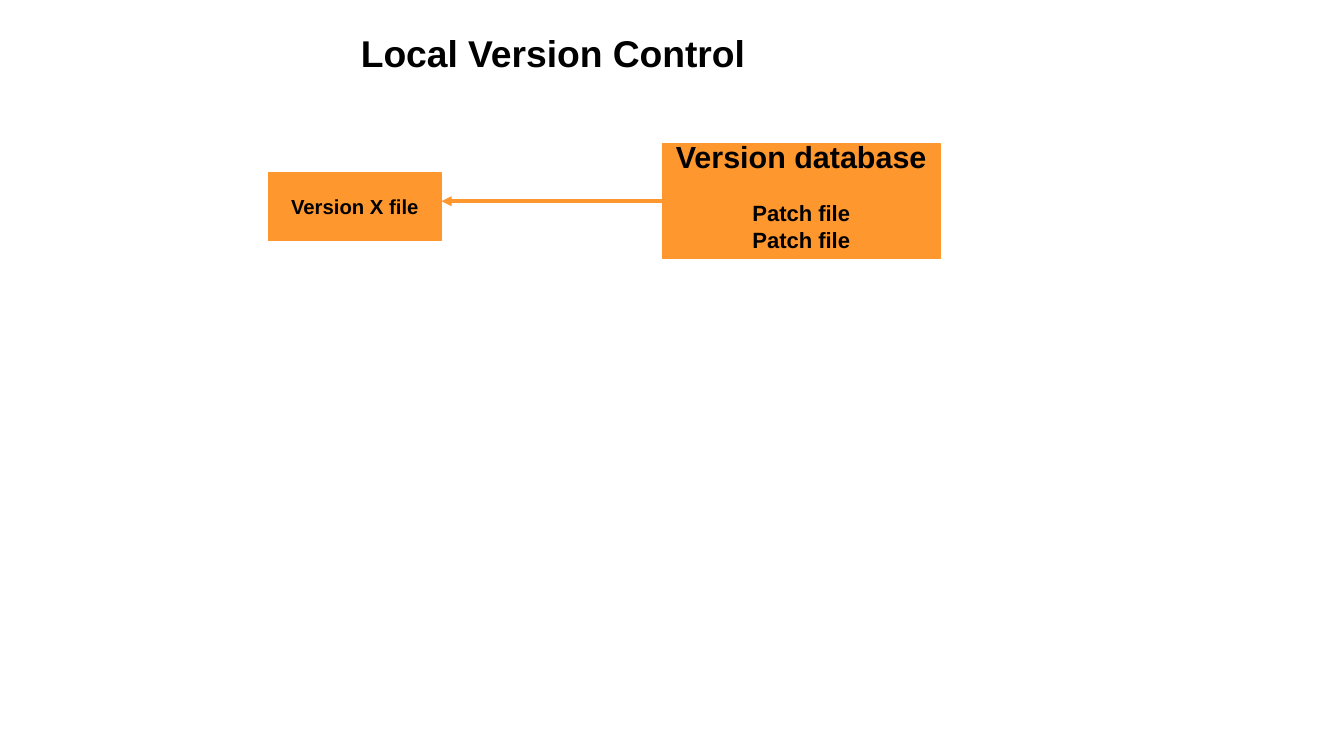
"""Builds the Local Version Control slide: a version database feeding a checked-out file."""
from dataclasses import dataclass
from typing import Optional

from lxml.etree import SubElement
from pptx import Presentation
from pptx.dml.color import RGBColor
from pptx.enum.shapes import MSO_CONNECTOR as Connector, MSO_SHAPE as Preset
from pptx.enum.text import MSO_ANCHOR as Anchor, PP_ALIGN as Align
from pptx.oxml.ns import qn
from pptx.shapes.autoshape import Shape
from pptx.slide import Slide
from pptx.util import Inches, Pt

ORANGE = RGBColor(0xFF, 0x97, 0x2F)
WHITE = RGBColor(0xFF, 0xFF, 0xFF)
BLACK = RGBColor(0, 0, 0)
WIDTH, HEIGHT = Inches(11.02), Inches(6.2)
COLUMN, ROW = WIDTH / 100, HEIGHT / 100
LEFT_SIDE = 1


@dataclass(frozen=True)
class Line:
    text: str
    size: int
    space_before: int = 0


@dataclass(frozen=True)
class Box:
    column: float
    row: float
    columns: float
    rows: float
    lines: tuple[Line, ...]
    fill: Optional[RGBColor] = ORANGE
    bottom_inset: float = 0.05


TITLE = Box(37.2, 2.58, 7.9, 8.87, (Line("Local Version Control", 22),), fill=None)
DATABASE = Box(
    49.27, 19.03, 20.69, 15.16,
    (Line("Version database", 18), Line("Patch file", 13, 15), Line("Patch file", 13)),
    bottom_inset=0.15,
)
VERSION_FILE = Box(19.96, 22.9, 12.89, 8.87, (Line("Version X file", 12),))


def draw_box(slide: Slide, box: Box) -> Shape:
    """Draw a rectangle with its centred bold lines."""
    shape = slide.shapes.add_shape(
        Preset.RECTANGLE, round(box.column * COLUMN), round(box.row * ROW),
        round(box.columns * COLUMN), round(box.rows * ROW),
    )
    shape.shadow.inherit = False
    if box.fill is None:
        shape.fill.background()
    else:
        shape.fill.solid()
        shape.fill.fore_color.rgb = box.fill
    shape.line.color.rgb = box.fill or WHITE
    shape.line.width = Pt(0)
    frame = shape.text_frame
    frame.word_wrap = False
    frame.vertical_anchor = Anchor.MIDDLE
    frame.margin_bottom = Inches(box.bottom_inset)
    frame.text = "\n".join(line.text for line in box.lines)
    for paragraph, line in zip(frame.paragraphs, box.lines):
        paragraph.alignment = Align.CENTER
        if line.space_before:
            paragraph.space_before = Pt(line.space_before)
        font = paragraph.runs[0].font
        font.name, font.size, font.bold = "Arial", Pt(line.size), True
        font.color.rgb = BLACK
    return shape


def draw_arrow(slide: Slide, source: Shape, target: Shape) -> None:
    """Draw a level arrow from the source's left side to the target's right edge."""
    level = source.top + source.height // 2
    arrow = slide.shapes.add_connector(
        Connector.STRAIGHT, source.left, level, target.left + target.width, level
    )
    arrow.begin_connect(source, LEFT_SIDE)
    arrow.line.color.rgb = ORANGE
    arrow.line.width = Pt(0)
    SubElement(arrow.line._get_or_add_ln(), qn("a:tailEnd"), type="triangle")
    SubElement(arrow._element.spPr, qn("a:effectLst"))


def main() -> None:
    """Build and save the slide."""
    deck = Presentation()
    deck.slide_width, deck.slide_height = WIDTH, HEIGHT
    slide = deck.slides.add_slide(deck.slide_layouts[6])
    draw_box(slide, TITLE)
    database = draw_box(slide, DATABASE)
    version_file = draw_box(slide, VERSION_FILE)
    draw_arrow(slide, database, version_file)
    deck.save("out.pptx")


if __name__ == "__main__":
    main()
